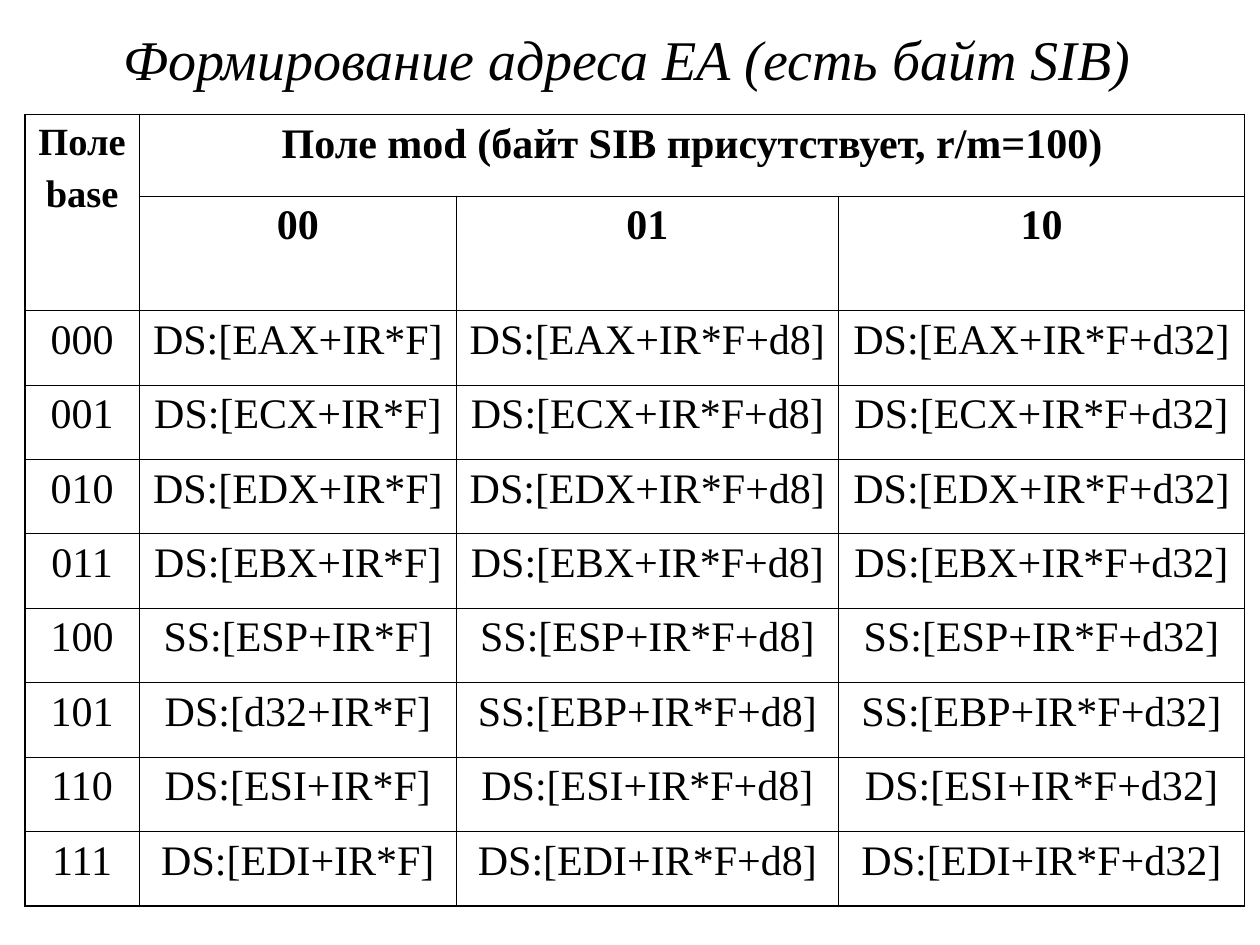
from dataclasses import dataclass

from lxml import etree
from pptx import Presentation
from pptx.dml.color import RGBColor
from pptx.enum.text import MSO_ANCHOR, PP_ALIGN
from pptx.oxml.ns import qn
from pptx.util import Cm, Pt

CENTER = PP_ALIGN.CENTER
MIDDLE = MSO_ANCHOR.MIDDLE


@dataclass(frozen=True)
class Theme:
    font: str = "Times New Roman"
    ink: str = "000000"
    title: float = 32
    cell: float = 24
    corner: float = 22
    thin: float = 0.45
    thick: float = 1.08


THEME = Theme()
COLUMNS = (2.31, 6.39, 7.7, 8.19)
ROWS = (1.64, 2.18) + (1.5,) * 8
MODES = {"00": "", "01": "+d8", "10": "+d32"}
BASES = ("DS:[EAX", "DS:[ECX", "DS:[EDX", "DS:[EBX",
         "SS:[ESP", "SS:[EBP", "DS:[ESI", "DS:[EDI")
NO_BASE = "DS:[d32"  # base 101 with mod 00 has a displacement only


def write(frame, lines, size, gap=0, **style):
    """Fill a text frame with centred paragraphs, gap points apart."""
    for index, line in enumerate(lines):
        paragraph = frame.add_paragraph() if index else frame.paragraphs[0]
        paragraph.alignment = CENTER
        if index:
            paragraph.space_before = Pt(gap)
        run = paragraph.add_run()
        run.text = line
        run.font.color.rgb = RGBColor.from_string(THEME.ink)
        for name, value in {"name": THEME.font, "size": Pt(size), **style}.items():
            setattr(run.font, name, value)


def draw_borders(cell, thick_sides):
    properties = cell._tc.get_or_add_tcPr()
    for side in "LRTB":
        width = THEME.thick if side in thick_sides else THEME.thin
        line = etree.SubElement(properties, qn(f"a:ln{side}"), w=str(Pt(width)))
        fill = etree.SubElement(line, qn("a:solidFill"))
        etree.SubElement(fill, qn("a:srgbClr"), val=THEME.ink)


def address(base, mode):
    register = NO_BASE if (base, mode) == (5, "00") else BASES[base]
    return f"{register}+IR*F{MODES[mode]}]"


def add_title(slide, left, top, width, height):
    box = slide.shapes.add_textbox(Cm(left), Cm(top), Cm(width), Cm(height))
    frame = box.text_frame
    frame.word_wrap = True
    frame.vertical_anchor = MIDDLE
    write(frame, ["Формирование адреса ЕА (есть байт SIB)"], THEME.title, italic=True)


def add_address_table(slide, left, top):
    table = slide.shapes.add_table(
        len(ROWS), len(COLUMNS), Cm(left), Cm(top),
        Cm(sum(COLUMNS)), Cm(sum(ROWS))).table
    table.first_row = table.horz_banding = False
    for column, width in zip(table.columns, COLUMNS):
        column.width = Cm(width)
    for row, height in zip(table.rows, ROWS):
        row.height = Cm(height)

    corner, heading = table.cell(0, 0), table.cell(0, 1)
    corner.merge(table.cell(1, 0))
    heading.merge(table.cell(0, len(COLUMNS) - 1))
    write(corner.text_frame, ["Поле", "base"], THEME.corner, gap=5.5, bold=True)
    write(heading.text_frame, ["Поле mod (байт SIB присутствует, r/m=100)"],
          THEME.cell, bold=True)
    for column, mode in enumerate(MODES, start=1):
        write(table.cell(1, column).text_frame, [mode], THEME.cell, bold=True)
    for base in range(len(BASES)):
        values = [f"{base:03b}"] + [address(base, mode) for mode in MODES]
        for column, value in enumerate(values):
            write(table.cell(base + 2, column).text_frame, [value], THEME.cell)

    for row in range(len(ROWS)):
        for column in range(len(COLUMNS)):
            cell = table.cell(row, column)
            end = column + (cell.span_width if cell.is_merge_origin else 1)
            outer = {"L": column == 0, "R": end == len(COLUMNS),
                     "T": row == 0, "B": row == len(ROWS) - 1}
            draw_borders(cell, [side for side, is_outer in outer.items() if is_outer])
            cell.fill.background()


def main():
    presentation = Presentation()
    presentation.slide_width, presentation.slide_height = Cm(25.4), Cm(19.05)
    slide = presentation.slides.add_slide(presentation.slide_layouts[6])
    add_title(slide, 0.8, 0.23, 23.7, 1.9)
    add_address_table(slide, 0.5, 2.31)
    presentation.save("out.pptx")


if __name__ == "__main__":
    main()
